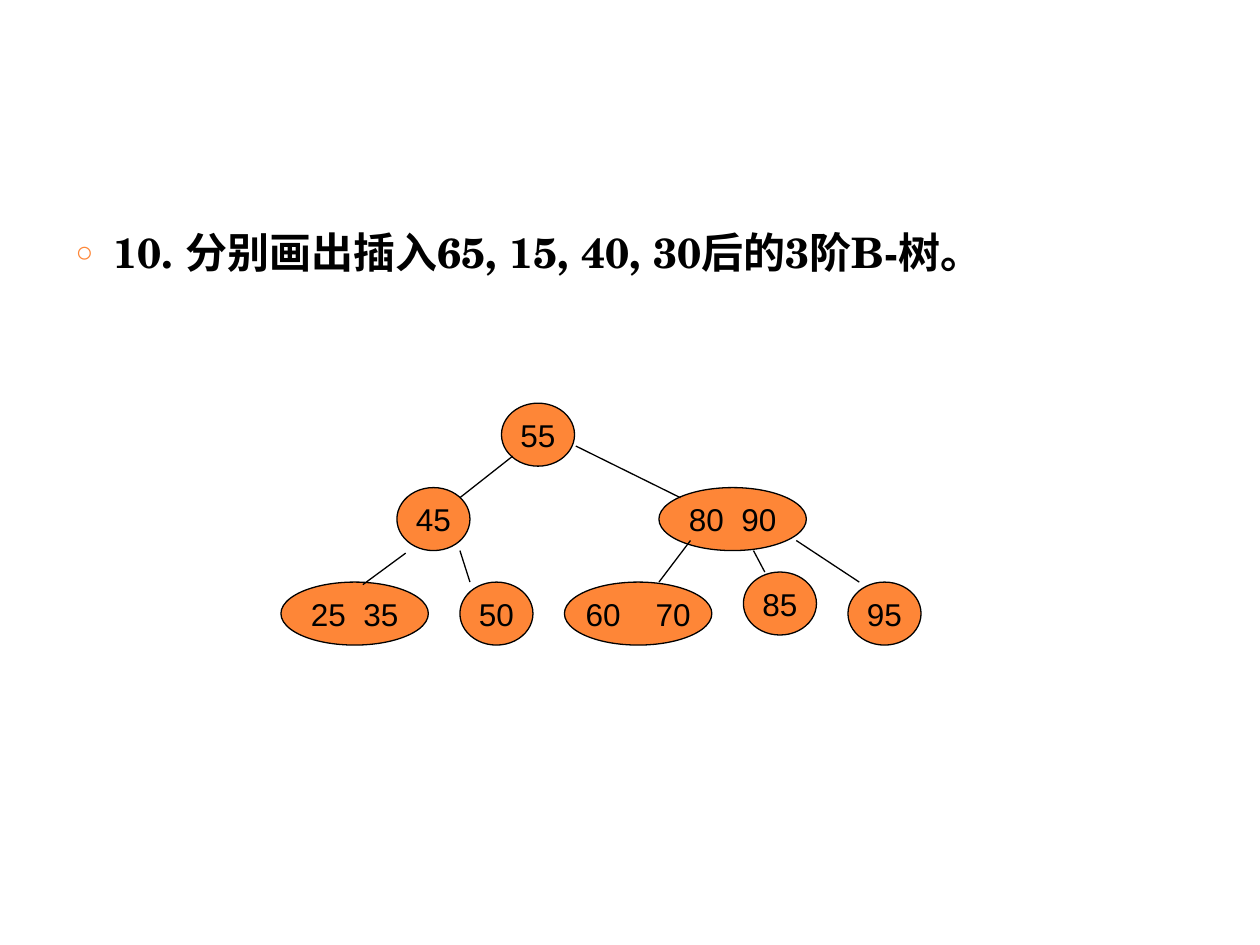
import pptx
import pptx.util
import pptx.dml.color
import pptx.enum.shapes
import pptx.enum.text
import pptx.oxml
import pptx.oxml.ns
from pptx.util import Inches

ORANGE = "FE8637"
BLACK = "000000"
NODE_HEIGHT = 0.5
KEY_WIDTH = 0.58
PAIR_WIDTH = 1.17


def color(hex_string):
    return pptx.dml.color.RGBColor.from_string(hex_string)


def add_xml(parent, tag, **attributes):
    """Append an empty DrawingML element and return it."""
    element = pptx.oxml.parse_xml(f"<a:{tag} {pptx.oxml.ns.nsdecls('a')}/>")
    for name, value in attributes.items():
        element.set(name, value)
    parent.append(element)
    return element


deck = pptx.Presentation()
deck.slide_width, deck.slide_height = Inches(10), Inches(7.5)
page = deck.slides.add_slide(deck.slide_layouts[1])
title = page.shapes.title
title.element.getparent().remove(title.element)

# Question
question = page.placeholders[1]
question.left, question.top = Inches(0.5), Inches(1.75)
question.width, question.height = Inches(8.17), Inches(5.33)
para = question.text_frame.paragraphs[0]
para.text = "10. 分别画出插入65, 15, 40, 30后的3阶B-树。"
para.space_before = pptx.util.Pt(6)
properties = para._p.get_or_add_pPr()
properties.set("marL", str(Inches(0.3)))
properties.set("indent", str(-Inches(0.3)))
add_xml(add_xml(properties, "buClr"), "srgbClr", val=ORANGE)
add_xml(properties, "buSzPct", val="70000")
add_xml(properties, "buChar", char="○")
para.font.name = "TeX Gyre Schola"
para.font.size = pptx.util.Pt(24)
para.font.bold = True
para.font.color.rgb = color(BLACK)

# Tree nodes: keys, left, top
nodes = [
    ("55", 3.98, 3.2),
    ("45", 3.15, 3.87),
    ("80  90", 5.23, 3.87),
    ("25  35", 2.23, 4.62),
    ("50", 3.65, 4.62),
    ("60    70", 4.48, 4.62),
    ("85", 5.9, 4.54),
    ("95", 6.73, 4.62),
]
for keys, left, top in nodes:
    width = PAIR_WIDTH if " " in keys else KEY_WIDTH
    node = page.shapes.add_shape(
        pptx.enum.shapes.MSO_SHAPE.OVAL,
        Inches(left), Inches(top), Inches(width), Inches(NODE_HEIGHT))
    node.shadow.inherit = False
    node.fill.solid()
    node.fill.fore_color.rgb = color(ORANGE)
    node.line.color.rgb = color(BLACK)
    node.line.width = pptx.util.Pt(0.75)
    frame = node.text_frame
    frame.word_wrap = False
    frame.vertical_anchor = pptx.enum.text.MSO_ANCHOR.MIDDLE
    para = frame.paragraphs[0]
    para.text = keys
    para.alignment = pptx.enum.text.PP_ALIGN.CENTER
    para.font.name = "Arial"
    para.font.size = pptx.util.Pt(18)
    para.font.color.rgb = color(BLACK)

# Tree branches: start x, start y, end x, end y
branches = [
    (3.65, 3.95, 4.07, 3.62),
    (3.65, 4.37, 3.73, 4.62),
    (4.57, 3.54, 5.4, 3.95),
    (5.23, 4.62, 5.48, 4.29),
    (5.98, 4.37, 6.07, 4.54),
    (6.32, 4.29, 6.82, 4.62),
    (3.22, 4.39, 2.88, 4.64),
]
for ends in branches:
    branch = page.shapes.add_connector(
        pptx.enum.shapes.MSO_CONNECTOR.STRAIGHT, *map(Inches, ends))
    branch.line.color.rgb = color(BLACK)
    branch.line.width = pptx.util.Pt(0.75)
    add_xml(branch.element.spPr, "effectLst")

deck.save("out.pptx")
